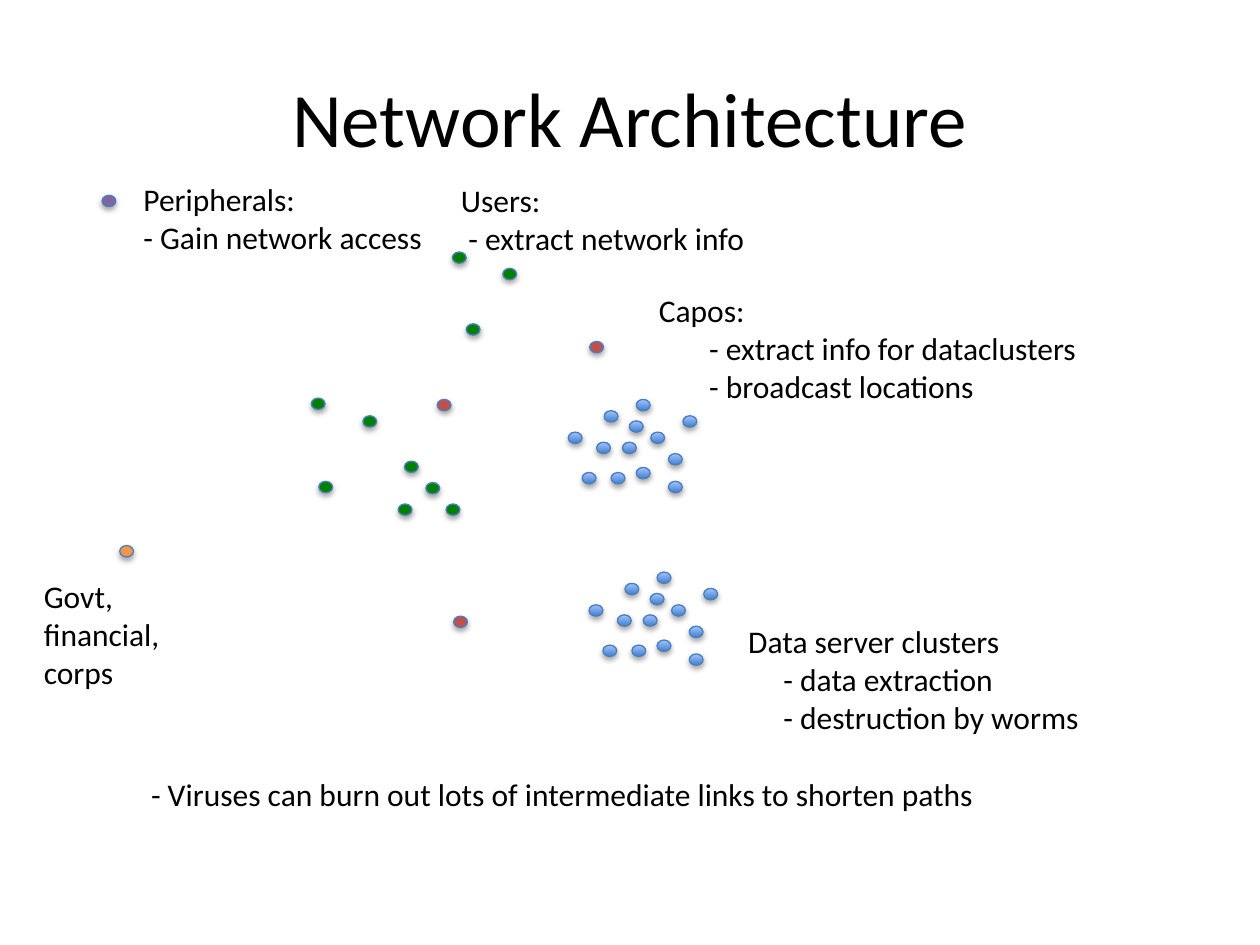
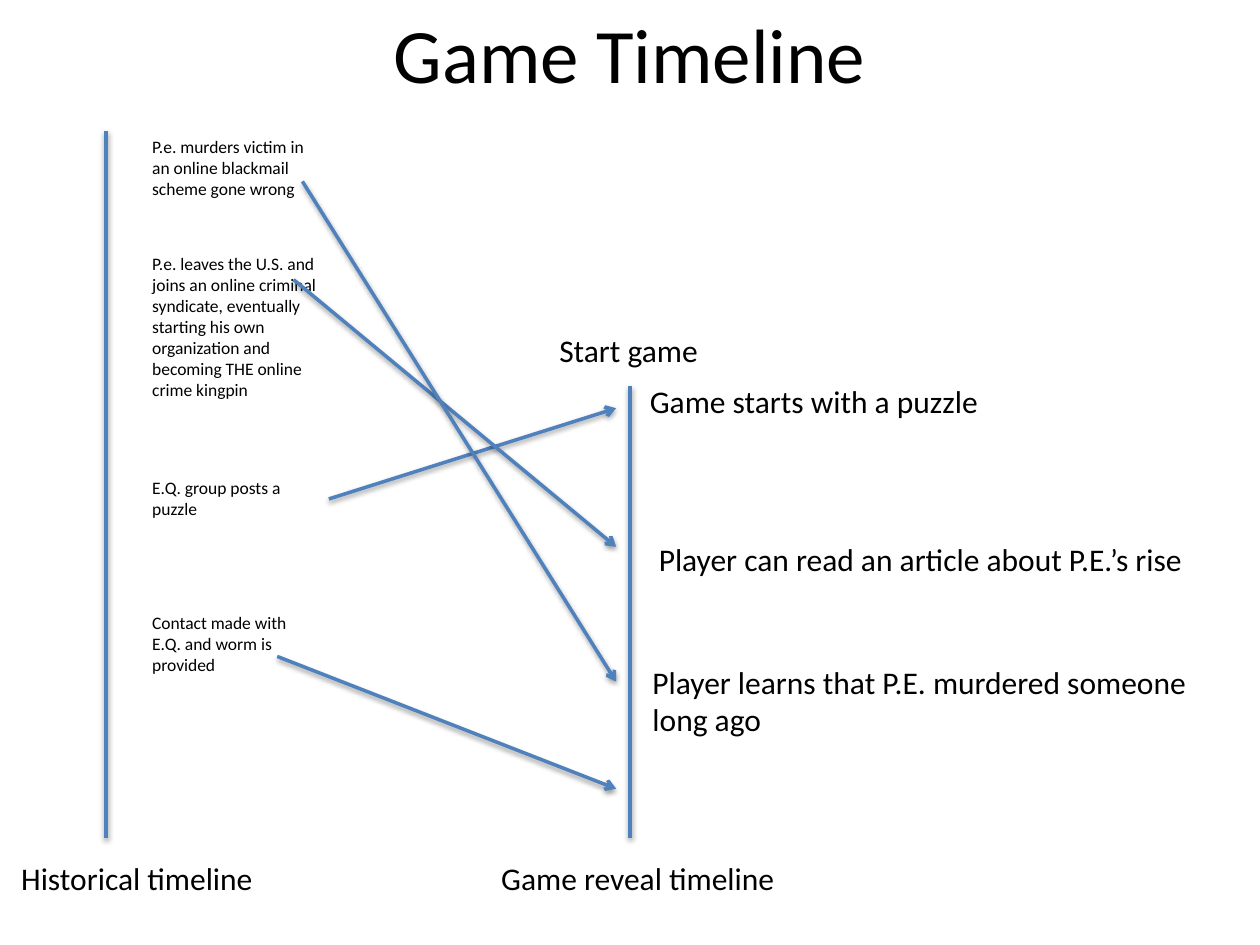
from dataclasses import dataclass
from typing import NamedTuple

from lxml import etree
from pptx import Presentation, util as u
from pptx.dml.color import RGBColor
from pptx.enum import shapes, text
from pptx.oxml.ns import qn


@dataclass(frozen=True)
class Theme:
    font: str = "Calibri"
    title_size: int = 44
    label_size: int = 18
    event_size: int = 10
    ink: str = "000000"
    outline: str = "4B7EBC"
    timeline: str = "4F81BD"
    server: tuple = ("3F80CE", "A4C4FF")
    user: str = "008000"
    capo: str = "C0504D"
    peripheral: str = "8064A2"
    target: str = "F79646"


class Label(NamedTuple):
    col: float
    row: float
    cols: float
    rows: float
    lines: tuple
    indent: float = 0  # inches, for every line after the first
    wrap: bool = False


class Link(NamedTuple):
    start: tuple
    end: tuple
    arrow: bool = True


THEME = Theme()
COLUMNS, ROWS = 100, 75
DOT_COLS, DOT_ROWS = 1.1, 0.9

deck = Presentation()
deck.slide_width, deck.slide_height = u.Inches(10), u.Inches(7.5)


def across(columns: float) -> int:
    return round(deck.slide_width * columns / COLUMNS)


def down(rows: float) -> int:
    return round(deck.slide_height * rows / ROWS)


# Shared drawing functions
def add_shadow(drawn, alpha: int, blur: float, distance: float) -> None:
    """Drop a black shadow straight down; call after fill and line are set."""
    effects = etree.SubElement(drawn._element.spPr, qn("a:effectLst"))
    shadow = etree.SubElement(
        effects, qn("a:outerShdw"), blurRad=str(u.Pt(blur)),
        dist=str(u.Pt(distance)), dir="5400000", rotWithShape="0")
    color = etree.SubElement(shadow, qn("a:srgbClr"), val="000000")
    etree.SubElement(color, qn("a:alpha"), val=str(alpha * 1000))


def add_text(slide, label: Label, *, size: int = THEME.label_size,
             color: str = THEME.ink, align=text.PP_ALIGN.LEFT,
             anchor=text.MSO_ANCHOR.TOP,
             fit=text.MSO_AUTO_SIZE.SHAPE_TO_FIT_TEXT) -> None:
    box = slide.shapes.add_textbox(across(label.col), down(label.row),
                                   across(label.cols), down(label.rows))
    frame = box.text_frame
    frame.word_wrap = label.wrap
    frame.auto_size = fit
    frame.vertical_anchor = anchor
    for index, line in enumerate(label.lines):
        paragraph = frame.add_paragraph() if index else frame.paragraphs[0]
        paragraph.alignment = align
        if index and label.indent:
            margin = u.Inches(label.indent)
            paragraph._p.get_or_add_pPr().set("marL", str(margin))
        run = paragraph.add_run()
        run.text = line
        run.font.name = THEME.font
        run.font.size = u.Pt(size)
        run.font.color.rgb = RGBColor.from_string(color)


def add_titled_slide(title: str, row: float):
    slide = deck.slides.add_slide(deck.slide_layouts[6])
    add_text(slide, Label(5, row, 90, 12.5, (title,), wrap=True),
             size=THEME.title_size, align=text.PP_ALIGN.CENTER,
             anchor=text.MSO_ANCHOR.MIDDLE, fit=text.MSO_AUTO_SIZE.NONE)
    return slide


def add_dot(slide, col: float, row: float, color: str | tuple) -> None:
    dot = slide.shapes.add_shape(shapes.MSO_SHAPE.OVAL, across(col), down(row),
                                 across(DOT_COLS), down(DOT_ROWS))
    if isinstance(color, tuple):
        dot.fill.gradient()
        dot.fill.gradient_angle = 90
        for stop, shade in zip(dot.fill.gradient_stops, color):
            stop.color.rgb = RGBColor.from_string(shade)
    else:
        dot.fill.solid()
        dot.fill.fore_color.rgb = RGBColor.from_string(color)
    dot.line.color.rgb = RGBColor.from_string(THEME.outline)
    dot.line.width = u.Pt(0.75)
    add_shadow(dot, 35, 3.1, 1.8)


def add_link(slide, link: Link) -> None:
    (col, row), (end_col, end_row) = link.start, link.end
    line = slide.shapes.add_connector(
        shapes.MSO_CONNECTOR.STRAIGHT, across(col), down(row),
        across(end_col), down(end_row))
    line.line.color.rgb = RGBColor.from_string(THEME.timeline)
    line.line.width = u.Pt(2)
    if link.arrow:
        etree.SubElement(line.line._get_or_add_ln(), qn("a:tailEnd"),
                         type="arrow")
    add_shadow(line, 38, 3.1, 1.6)


# Slide 1: network nodes and their roles
network = add_titled_slide("Network Architecture", 3)

CLUSTER_ORIGINS = ((45.1, 31.7), (46.75, 45.4))
SERVER_OFFSETS = (
    (1.1, 5.8), (9.1, 1.3), (0, 2.6), (2.25, 3.4), (2.85, 0.9), (7.95, 6.5),
    (5.4, 0), (6.55, 2.6), (7.95, 4.3), (3.4, 5.8), (4.85, 1.7), (4.3, 3.4),
    (5.4, 5.4))
for origin_col, origin_row in CLUSTER_ORIGINS:
    for col, row in SERVER_OFFSETS:
        add_dot(network, origin_col + col, origin_row + row, THEME.server)

NODES = {
    THEME.capo: ((46.8, 27.1), (36, 48.9), (34.7, 31.7)),
    THEME.user: ((24.7, 31.6), (25.3, 38.2), (28.8, 33), (32.1, 36.6),
                 (33.8, 38.3), (35.4, 40), (31.6, 40), (35.9, 20),
                 (37, 25.7), (39.9, 21.3)),
    THEME.peripheral: ((8.1, 15.5),),
    THEME.target: ((9.5, 43.3),),
}
for color, places in NODES.items():
    for col, row in places:
        add_dot(network, col, row, color)

ROLES = (
    Label(58.4, 48.9, 28.6, 10.1,
          ("Data server clusters", "- data extraction",
           "- destruction by worms"), 0.28),
    Label(51.3, 22.6, 35.8, 10.1,
          ("Capos:", "- extract info for dataclusters",
           "- broadcast locations"), 0.4),
    Label(35.6, 13.9, 24.9, 7.1, ("Users:", "- extract network info"), 0.06),
    Label(2.5, 45.3, 11.3, 10.1, ("Govt,", "financial,", "corps")),
    Label(10.4, 13.8, 24.4, 7.1, ("Peripherals:", "- Gain network access")),
    Label(11, 61, 68.1, 4,
          ("- Viruses can burn out lots of intermediate links"
           " to shorten paths",)),
)
for role in ROLES:
    add_text(network, role)

# Slide 2: history on the left, its discovery on the right
timeline = add_titled_slide("Game Timeline", -2.1)

HISTORY_COL, REVEAL_COL, ARROW_COL, BOTTOM_ROW = 8.4, 50, 48.9, 66.5
HISTORY = (
    (10.3, 6.1, "P.e. murders victim in an online blackmail scheme gone wrong"),
    (19.6, 12.8, "P.e. leaves the U.S. and joins an online criminal syndicate, "
                 "eventually starting his own organization and becoming THE "
                 "online crime kingpin"),
    (37.4, 4.4, "E.Q. group posts a puzzle"),
    (48.1, 6.1, "Contact made with E.Q. and worm is provided"),
)
for row, rows, event in HISTORY:
    add_text(timeline, Label(11.1, row, 15, rows, (event,), wrap=True),
             size=THEME.event_size)

REVEALS = (
    Label(0.7, 67.7, 20.6, 4, ("Historical timeline",)),
    Label(38.8, 67.7, 24, 4, ("Game reveal timeline",)),
    Label(43.4, 25.8, 13.2, 4, ("Start game",)),
    Label(50.6, 29.8, 28.4, 4, ("Game starts with a puzzle",)),
    Label(51.3, 42.4, 44.8, 4,
          ("Player can read an article about P.E.’s rise",)),
    Label(50.8, 52.1, 49.2, 7.1,
          ("Player learns that P.E. murdered someone long ago",), wrap=True),
)
for reveal in REVEALS:
    add_text(timeline, reveal)

LINKS = (
    Link((HISTORY_COL, 10.4), (HISTORY_COL, BOTTOM_ROW), arrow=False),
    Link((REVEAL_COL, 30.6), (REVEAL_COL, BOTTOM_ROW), arrow=False),
    Link((26.1, 39.6), (ARROW_COL, 32.4)),
    Link((23.3, 22.2), (ARROW_COL, 43.4)),
    Link((24, 14.4), (ARROW_COL, 54.1)),
    Link((22, 52.1), (ARROW_COL, 62.6)),
)
for link in LINKS:
    add_link(timeline, link)

deck.save("out.pptx")
